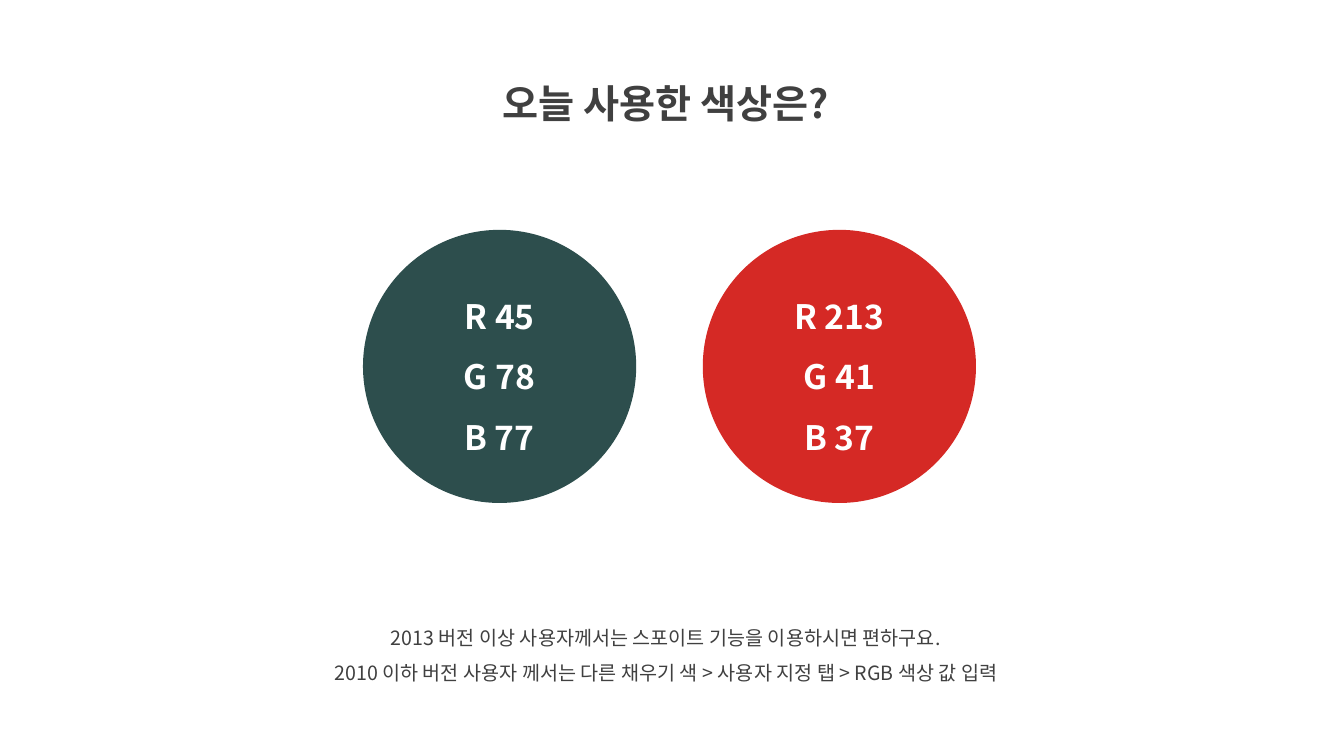
"""Build a slide that shows the two colours used today with their RGB values."""
import pptx
import pptx.util
import pptx.dml.color
import pptx.enum.shapes
import pptx.enum.text
import pptx.oxml.ns
import lxml.etree

Inches = pptx.util.Inches
RGBColor = pptx.dml.color.RGBColor
MSO_ANCHOR = pptx.enum.text.MSO_ANCHOR
FONT = "Noto Sans CJK KR"
GREY = RGBColor(0x40, 0x40, 0x40)
WHITE = RGBColor(0xFF, 0xFF, 0xFF)
GREEN = RGBColor(45, 78, 77)
RED = RGBColor(213, 41, 37)


def write(shape, lines, size, color, bold, anchor):
    """Fill a shape with centred lines of text."""
    frame = shape.text_frame
    frame.text = "\n".join(lines)
    frame.word_wrap = True
    frame.auto_size = pptx.enum.text.MSO_AUTO_SIZE.NONE
    frame.vertical_anchor = anchor
    for para in frame.paragraphs:
        para.alignment = pptx.enum.text.PP_ALIGN.CENTER
        para.line_spacing = 1.5
        font = para.font
        font.name = FONT
        font.size = pptx.util.Pt(size)
        font.bold = bold
        font.color.rgb = color
        latin = para._p.find(".//" + pptx.oxml.ns.qn("a:latin"))
        asian = lxml.etree.Element(pptx.oxml.ns.qn("a:ea"), typeface=FONT)
        latin.addnext(asian)


deck = pptx.Presentation()
deck.slide_width = Inches(13.33)
deck.slide_height = Inches(7.5)
slide = deck.slides.add_slide(deck.slide_layouts[5])

title = slide.shapes.title
title.left, title.top = Inches(4.29), Inches(0.5)
title.width, title.height = Inches(4.63), Inches(0.72)
write(title, ["오늘 사용한 색상은?"], 28, GREY, True, MSO_ANCHOR.TOP)

note = slide.shapes.add_textbox(
    Inches(2.61), Inches(6.04), Inches(7.99), Inches(0.81))
hints = [
    "2013 버전 이상 사용자께서는 스포이트 기능을 이용하시면 편하구요.",
    "2010 이하 버전 사용자 께서는 다른 채우기 색 > 사용자 지정 탭 > RGB 색상 값 입력",
]
write(note, hints, 14, GREY, False, MSO_ANCHOR.TOP)

for left, color in [(3.6, GREEN), (6.97, RED)]:
    disc = slide.shapes.add_shape(
        pptx.enum.shapes.MSO_SHAPE.OVAL,
        Inches(left), Inches(2.28), Inches(2.71), Inches(2.71))
    disc.shadow.inherit = False
    disc.fill.solid()
    disc.fill.fore_color.rgb = color
    disc.line.fill.background()
    values = [f"{name} {value}" for name, value in zip("RGB", color)]
    write(disc, values, 24, WHITE, True, MSO_ANCHOR.MIDDLE)

deck.save("out.pptx")
